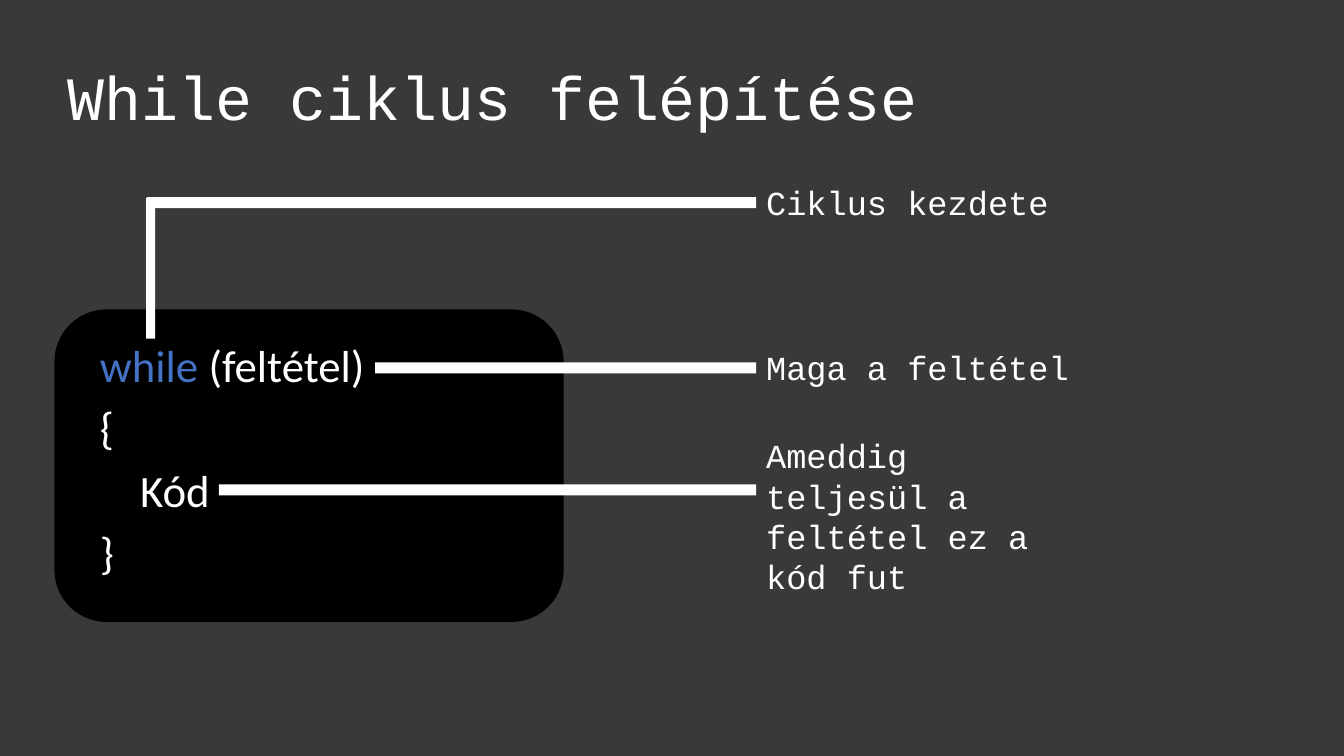
from pptx import Presentation
from pptx import util as u
from pptx.dml.color import RGBColor
from pptx.enum import shapes, text
from lxml import etree

BACKGROUND = RGBColor(0x3B, 0x38, 0x38)
PANEL = RGBColor(0, 0, 0)
WHITE = RGBColor(0xFF, 0xFF, 0xFF)
KEYWORD = RGBColor(0x44, 0x72, 0xC4)

COLUMNS, ROWS = 13.33, 7.5
CELL = u.Inches(1)
LABEL_LEFT, LABEL_WIDTH = 7.5, 3.29
BAR = 0.11
CODE_INDENT = 0.4

CODE_LINES = [
    (0, [("while", KEYWORD), (" (feltétel)", WHITE)]),
    (0, [("{", WHITE)]),
    (CODE_INDENT, [("Kód", WHITE)]),
    (0, [("}", WHITE)]),
]
CALLOUTS = [
    (1.46, 2.01, 1.76, 0.5, "Ciklus kezdete"),
    (3.72, 3.65, 3.39, 0.5, "Maga a feltétel"),
    (2.17, 4.86, 4.27, 1.31, "Ameddig teljesül a feltétel ez a kód fut"),
]


def cells(*counts):
    return [round(count * CELL) for count in counts]


def place(shape, *box):
    shape.left, shape.top, shape.width, shape.height = cells(*box)


def add_run(paragraph, words, font_name, size, color):
    run = paragraph.add_run()
    run.text = words
    run.font.name = font_name
    run.font.size = u.Pt(size)
    run.font.color.rgb = color


def add_block(slide, kind, color, *box):
    shape = slide.shapes.add_shape(kind, *cells(*box))
    shape.shadow.inherit = False
    shape.fill.solid()
    shape.fill.fore_color.rgb = color
    shape.line.fill.background()


def add_bar(slide, *box):
    add_block(slide, shapes.MSO_SHAPE.RECTANGLE, WHITE, *box)


def fill_title(slide, words):
    title = slide.shapes.title
    place(title, 0.57, 0.27, 11.5, 1.45)
    frame = title.text_frame
    frame.auto_size = text.MSO_AUTO_SIZE.NONE
    frame.vertical_anchor = text.MSO_ANCHOR.MIDDLE
    paragraph = frame.paragraphs[0]
    paragraph.alignment = text.PP_ALIGN.LEFT
    paragraph.line_spacing = 0.9
    add_run(paragraph, words, "Courier New", 44, WHITE)


def format_code_line(paragraph, indent):
    paragraph.line_spacing = 0.9
    paragraph.space_before = u.Pt(10)
    properties = paragraph._p.get_or_add_pPr()
    properties.set("marL", str(cells(indent)[0]))
    properties.set("indent", "0")
    namespace = etree.QName(properties).namespace
    etree.SubElement(properties, etree.QName(namespace, "buNone"))


def fill_code(slide):
    body = slide.placeholders[1]
    place(body, 0.89, 3.36, 11.5, 4.76)
    frame = body.text_frame
    frame.auto_size = text.MSO_AUTO_SIZE.NONE
    frame.vertical_anchor = text.MSO_ANCHOR.TOP
    for number, (indent, runs) in enumerate(CODE_LINES):
        paragraph = frame.add_paragraph() if number else frame.paragraphs[0]
        format_code_line(paragraph, indent)
        for words, color in runs:
            add_run(paragraph, words, "Calibri", 32, color)


def add_callout(slide, bar_left, bar_middle, label_top, label_height, words):
    add_bar(slide, bar_left, bar_middle - BAR / 2, LABEL_LEFT - bar_left, BAR)
    box = cells(LABEL_LEFT, label_top, LABEL_WIDTH, label_height)
    frame = slide.shapes.add_textbox(*box).text_frame
    frame.word_wrap = True
    frame.auto_size = text.MSO_AUTO_SIZE.SHAPE_TO_FIT_TEXT
    add_run(frame.paragraphs[0], words, "Courier New", 24, WHITE)


def add_panel(slide):
    add_block(slide, shapes.MSO_SHAPE.ROUNDED_RECTANGLE, PANEL, 0.54, 3.07, 5.05, 3.1)
    tree = slide.shapes._spTree
    tree.insert_element_before(slide.shapes.title._element, "p:extLst")
    tree.insert_element_before(slide.placeholders[1]._element, "p:extLst")


def main():
    presentation = Presentation()
    presentation.slide_width, presentation.slide_height = cells(COLUMNS, ROWS)
    slide = presentation.slides.add_slide(presentation.slide_layouts[1])
    slide.background.fill.solid()
    slide.background.fill.fore_color.rgb = BACKGROUND

    add_panel(slide)
    fill_title(slide, "While ciklus felépítése")
    fill_code(slide)
    add_bar(slide, 1.45, 1.96, 0.09, 1.4)
    for callout in CALLOUTS:
        add_callout(slide, *callout)
    presentation.save("out.pptx")


main()
